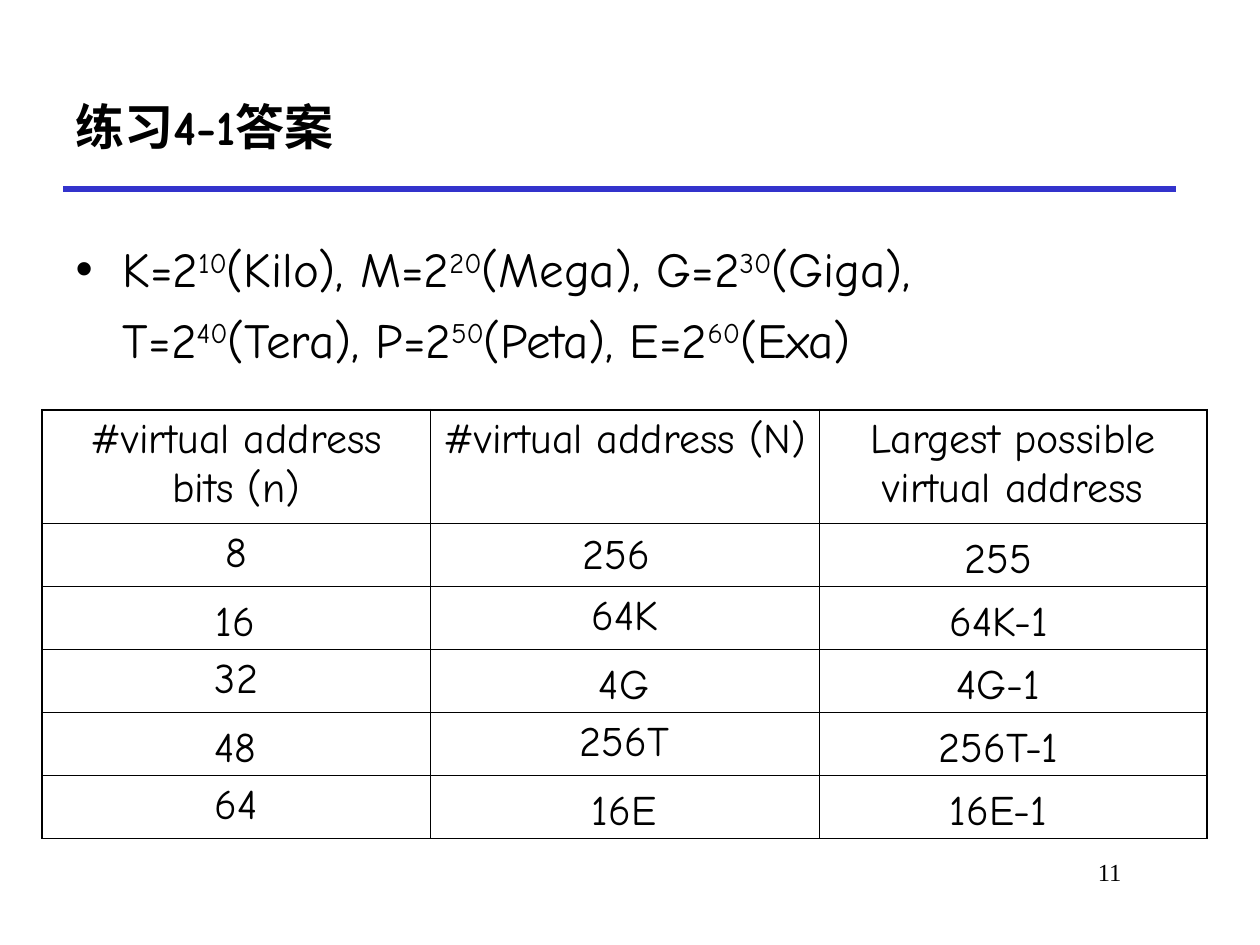
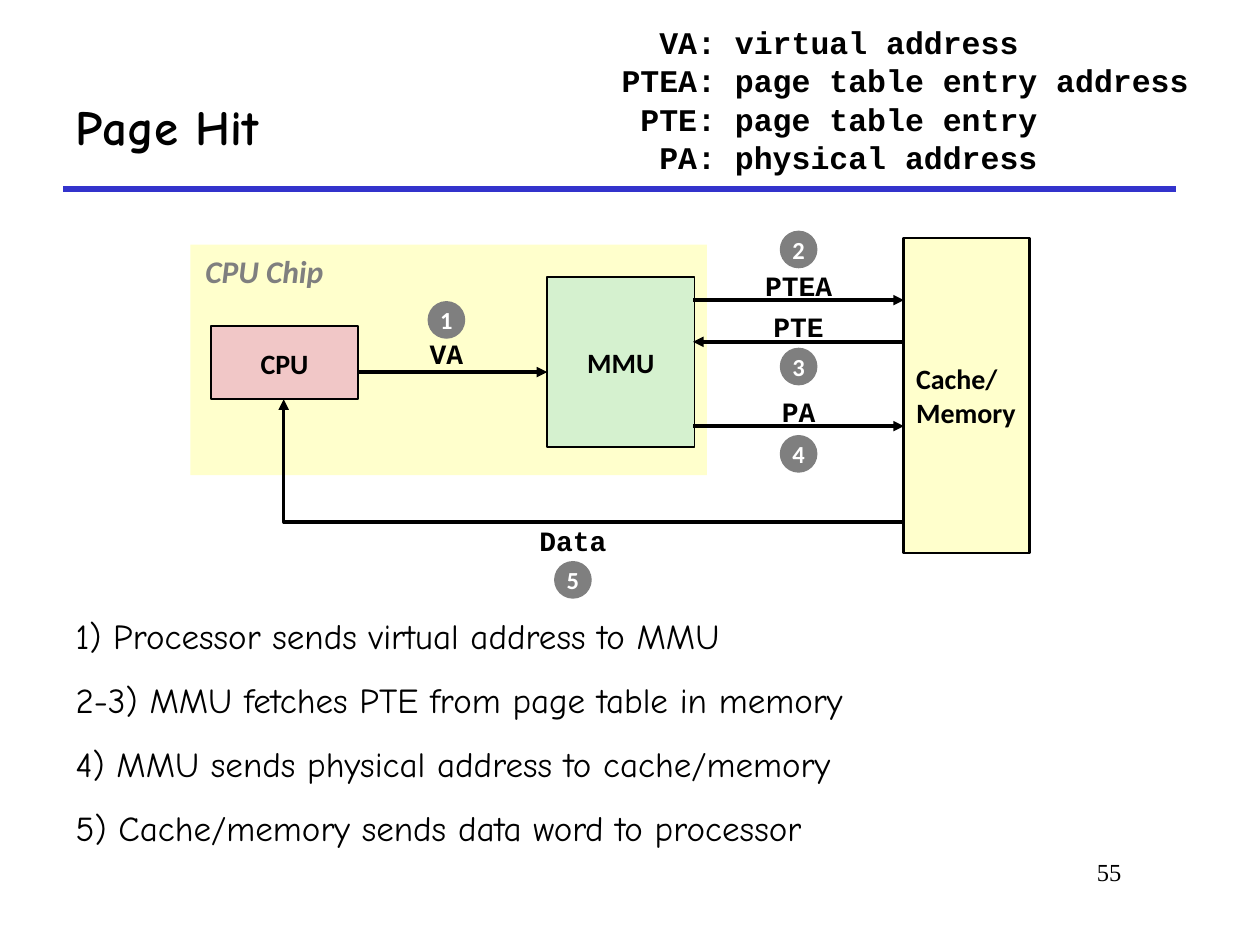
from lxml import etree
from pptx import Presentation
from pptx.dml.color import RGBColor
from pptx.enum.shapes import MSO_CONNECTOR, MSO_SHAPE
from pptx.enum.text import MSO_ANCHOR, MSO_AUTO_SIZE, PP_ALIGN
from pptx.oxml.ns import qn
from pptx.util import Cm, Pt

LEFT, MID, RIGHT = PP_ALIGN.LEFT, PP_ALIGN.CENTER, PP_ALIGN.RIGHT
TOP, CENTRE = MSO_ANCHOR.TOP, MSO_ANCHOR.MIDDLE
RECT, OVAL = MSO_SHAPE.RECTANGLE, MSO_SHAPE.OVAL
LINE, ELBOW = MSO_CONNECTOR.STRAIGHT, MSO_CONNECTOR.ELBOW

HEX = {"ink": "000000", "rule": "3333CC", "grey": "7F7F7F", "white": "FFFFFF",
       "cream": "FFFFCC", "green": "D5F1CF", "pink": "F1C7C7"}

# Text formats: font attributes by role
COMIC, MONO, SANS = "Comic Neue", "Courier New", "Calibri"
TITLE = {"name": COMIC, "size": Pt(28), "bold": True}
BODY = {"name": COMIC, "size": Pt(28)}
STEP = {"name": COMIC, "size": Pt(20)}
CELL = {"name": COMIC, "size": Pt(24)}
PAGE = {"name": "Times New Roman", "size": Pt(14)}
KEY = {"name": MONO, "size": Pt(18), "bold": True}
TAG = {"name": MONO, "size": Pt(16), "bold": True}
PART = {"name": SANS, "size": Pt(16), "bold": True}
CHIP = {"name": SANS, "size": Pt(18), "bold": True, "italic": True}
BADGE = {"name": SANS, "size": Pt(14), "bold": True}


def rgb(name):
    return RGBColor.from_string(HEX[name])


def add_run(para, text, form, ink="ink"):
    run = para.add_run()
    run.text = text
    for key, val in form.items():
        setattr(run.font, key, val)
    run.font.color.rgb = rgb(ink)
    return run


def write(frame, lines, form, ink="ink", align=LEFT, anchor=TOP,
          wrap=True, space=0, pitch=None):
    """Fill a text frame with one paragraph per line."""
    frame.word_wrap = wrap
    frame.auto_size = MSO_AUTO_SIZE.NONE
    frame.vertical_anchor = anchor
    for i, line in enumerate(lines):
        para = frame.add_paragraph() if i else frame.paragraphs[0]
        para.alignment = align
        para.space_before = Pt(space if i else 0)
        para.line_spacing = pitch
        add_run(para, line, form, ink)
    return frame


def place(shape, box):
    for key, val in zip(("left", "top", "width", "height"), box):
        setattr(shape, key, Cm(val))
    return shape


def add_text(slide, box, lines, form, **opts):
    shape = slide.shapes.add_textbox(*map(Cm, box))
    return write(shape.text_frame, lines, form, **opts)


def add_box(slide, kind, box, fill, edge=0, lines=(), form=PART, **opts):
    shape = slide.shapes.add_shape(kind, *map(Cm, box))
    shape.shadow.inherit = False
    shape.fill.solid()
    shape.fill.fore_color.rgb = rgb(fill)
    if edge:
        shape.line.color.rgb = rgb("ink")
        shape.line.width = Pt(edge)
    else:
        shape.line.fill.background()
    write(shape.text_frame, lines, form, anchor=CENTRE, wrap=False, **opts)


def add_line(slide, ends, ink="ink", width=2, head=True, kind=LINE):
    line = slide.shapes.add_connector(kind, *map(Cm, ends))
    line.line.color.rgb = rgb(ink)
    line.line.width = Pt(width)
    props = line._element.spPr
    if kind == ELBOW:
        props.find(qn("a:prstGeom")).set("prst", "bentConnector2")
    if head:
        etree.SubElement(props.find(qn("a:ln")), qn("a:tailEnd"), type="triangle")
    etree.SubElement(props, qn("a:effectLst"))


def add_page(deck, title, number):
    """Slide with the shared title, rule and page number."""
    slide = deck.slides.add_slide(deck.slide_layouts[1])
    head = place(slide.shapes.title, (1.27, 1.27, 22.43, 2.54))
    write(head.text_frame, [title], TITLE, anchor=CENTRE)
    add_line(slide, (1.27, 3.81, 23.7, 3.81), "rule", 3, head=False)
    add_text(slide, (19.25, 17.15, 3.61, 1.27), [number], PAGE, align=RIGHT)
    return slide


# Slide 1: units and address table
def fill_units(slide, box):
    body = place(slide.placeholders[1], box)
    frame = write(body.text_frame, [], BODY)
    para = frame.paragraphs[0]
    para.space_before = Pt(0)
    para.line_spacing = 1.2
    names = ("Kilo", "Mega", "Giga", "Tera", "Peta", "Exa")
    for i, name in enumerate(names, 1):
        add_run(para, f"{name[0]}=2", BODY)
        power = add_run(para, str(i * 10), BODY)
        power._r.get_or_add_rPr().set("baseline", "30000")
        add_run(para, f"({name})" + (", " if i < len(names) else ""), BODY)


def edge_cell(cell, sides):
    props = cell._tc.get_or_add_tcPr()
    for side, width in sides.items():
        line = etree.SubElement(props, qn(f"a:ln{side}"), w=str(Pt(width)))
        fill = etree.SubElement(line, qn("a:solidFill"))
        etree.SubElement(fill, qn("a:srgbClr"), val=HEX["ink"])


def draw_table(slide, box):
    rows = [("#virtual address bits (n)", "#virtual address (N)",
             "Largest possible virtual address"),
            ("8", "", ""), ("", "64K", ""), ("32", "", ""),
            ("", "256T", ""), ("64", "", "")]
    high, low = 2.29, 1.27
    table = slide.shapes.add_table(6, 3, *map(Cm, box)).table
    table.first_row = table.horz_banding = False
    for col in table.columns:
        col.width = Cm(box[2] / 3)
    for r, row in enumerate(rows):
        table.rows[r].height = Cm(low if r else high)
        for c, text in enumerate(row):
            cell = table.cell(r, c)
            if text:
                write_cell(cell, text)
            outer = {"L": c == 0, "R": c == 2, "T": r == 0, "B": r == 5}
            edge_cell(cell, {k: 1.08 if v else 0.45 for k, v in outer.items()})
            cell.fill.background()

    # Answers laid over the open cells: one column of values per middle
    answers = {3.9: ("", "16", "", "48", ""),
               11.73: ("256", "", "4G", "", "16E"),
               19.28: ("255", "64K-1", "4G-1", "256T-1", "16E-1")}
    shift = {"256": (-0.15, -0.1)}
    for mid, column in answers.items():
        for r, text in enumerate(column):
            if text:
                dx, dy = shift.get(text, (0, 0))
                width = 0.6 + 0.42 * len(text)
                spot = (box[0] + mid - width / 2 + dx,
                        box[1] + high + low * r + 0.05 + dy, width, low)
                add_text(slide, spot, [text], CELL, align=MID, wrap=False)


def write_cell(cell, text):
    para = cell.text_frame.paragraphs[0]
    para.alignment = MID
    add_run(para, text, CELL)


# Slide 2: legend, diagram and steps
def draw_key(slide, box):
    terms = {"VA": "virtual address", "PTEA": "page table entry address",
             "PTE": "page table entry", "PA": "physical address"}
    lines = [f"{key}: {text}" for key, text in terms.items()]
    frame = add_text(slide, box, lines, KEY, space=11.2, pitch=0.5)
    for para, key in zip(frame.paragraphs, terms):
        pad = (4 - len(key)) * Pt(10.8)
        para._p.get_or_add_pPr().set("marL", str(pad))


def draw_flow(slide, box):
    x, y = box

    def at(left, top, *size):
        return (x + left, y + top, *size)

    def link(x1, y1, x2, y2, kind=LINE):
        add_line(slide, at(x1, y1) + at(x2, y2), kind=kind)

    # Blocks
    add_box(slide, RECT, at(0, 0.28, 10.41, 4.65), "cream")
    add_text(slide, at(0.05, 0.3, 2.9, 1.02), ["CPU Chip"], CHIP,
             ink="grey", wrap=False)
    add_box(slide, RECT, at(7.19, 0.94, 2.97, 3.43), "green", 1, ["MMU"], align=MID)
    add_box(slide, RECT, at(14.38, 0.15, 2.54, 6.35), "cream", 1.5,
            ["Cache/", "Memory"])
    add_box(slide, RECT, at(0.41, 1.93, 2.97, 1.47), "pink", 1, ["CPU"], align=MID)

    # Arrows
    link(3.38, 2.85, 7.19, 2.85)
    link(10.13, 1.4, 14.38, 1.4)
    link(14.38, 2.24, 10.13, 2.24)
    link(10.13, 3.94, 14.38, 3.94)
    link(14.38, 5.87, 1.88, 3.4, ELBOW)

    # Signal names with numbered badges: middle, name height, badge height
    signals = [("VA", 5.16, 2.49, 1.8), ("PTEA", 12.26, 1.12, 0.38),
               ("PTE", 12.26, 1.96, 2.74), ("PA", 12.26, 3.66, 4.5),
               ("Data", 7.71, 6.27, 7.04)]
    tall, disc = 0.91, 0.76
    for i, (name, mid, row, spot) in enumerate(signals, 1):
        width = 0.51 + 0.34 * len(name)
        add_text(slide, at(mid - width / 2, row - tall / 2, width, tall), [name],
                 TAG, align=MID, anchor=CENTRE, wrap=False, pitch=0.98)
        add_box(slide, OVAL, at(mid - disc / 2, spot - disc / 2, disc, disc),
                "grey", 0, [str(i)], BADGE, ink="white", align=MID)


def fill_steps(slide, box):
    steps = ["1) Processor sends virtual address to MMU",
             "2-3) MMU fetches PTE from page table in memory",
             "4) MMU sends physical address to cache/memory",
             "5) Cache/memory sends data word to processor"]
    body = place(slide.placeholders[1], box)
    frame = write(body.text_frame, steps, STEP, space=12.5)
    for para in frame.paragraphs:
        etree.SubElement(para._p.get_or_add_pPr(), qn("a:buNone"))


def main():
    deck = Presentation()
    deck.slide_width, deck.slide_height = Cm(25.4), Cm(19.05)

    slide = add_page(deck, "练习4-1答案", "11")
    fill_units(slide, (1.27, 4.45, 20.96, 3.18))
    draw_table(slide, (0.85, 8.26, 23.49, 8.64))

    slide = add_page(deck, "Page Hit", "55")
    draw_key(slide, (12.28, 0.66, 12.67, 2.97))
    draw_flow(slide, (3.84, 4.65))
    fill_steps(slide, (1.27, 12.27, 18.85, 5.72))

    deck.save("out.pptx")


if __name__ == "__main__":
    main()
